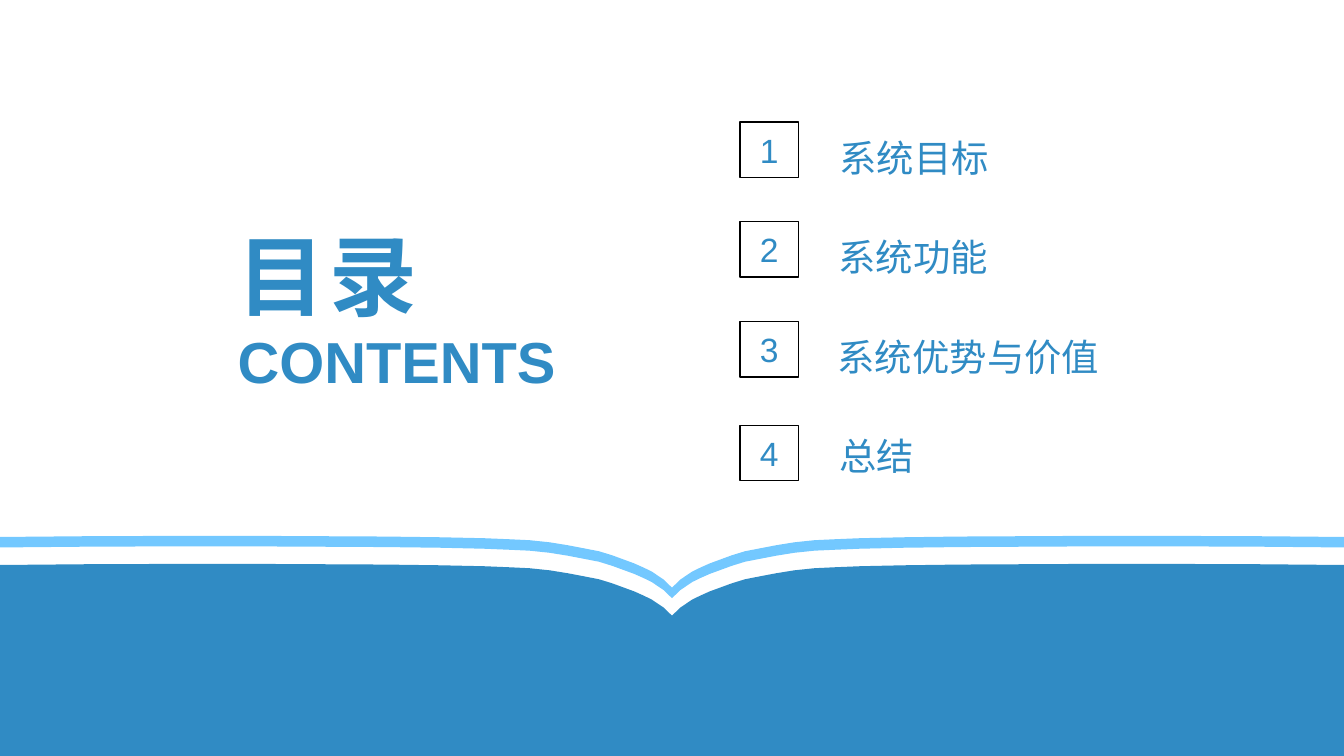
from pptx import Presentation
from pptx.dml.color import RGBColor
from pptx.enum import shapes, text
from pptx.util import Pt

COLORS = {"blue": "308BC4", "sky": "73C8FF", "outline": "000000"}
WIDTH, HEIGHT = 960, 540


def write(shape, wording, size, bold=False, line_spacing=None, align=text.PP_ALIGN.LEFT):
    """Put one blue Arial run in the shape and return that run."""
    frame = shape.text_frame
    frame.word_wrap = True
    para = frame.paragraphs[0]
    para.alignment = align
    para.line_spacing = line_spacing
    span = para.add_run()
    span.text = wording
    span.font.name = "Arial"
    span.font.size = Pt(size)
    span.font.bold = bold
    span.font.color.rgb = RGBColor.from_string(COLORS["blue"])
    return span


def add_outline(page, points, color):
    """Draw a closed, filled outline through points given in points."""
    corners = [(Pt(x), Pt(y)) for x, y in points]
    builder = page.shapes.build_freeform(*corners[0])
    builder.add_line_segments(corners[1:], close=True)
    outline = builder.convert_to_shape()
    outline.shadow.inherit = False
    outline.fill.solid()
    outline.fill.fore_color.rgb = RGBColor.from_string(COLORS[color])
    outline.line.fill.background()


deck = Presentation()
deck.slide_width, deck.slide_height = Pt(WIDTH), Pt(HEIGHT)
page = deck.slides.add_slide(deck.slide_layouts[6])

# Contents entries: label, label left, label width, number box top
entries = [
    ("系统目标", 592.6, 202.3, 87.1),
    ("系统功能", 591.8, 123, 158.4),
    ("系统优势与价值", 591.1, 203.8, 229.7),
    ("总结", 592.6, 107.3, 303.8),
]
for index, (label, left, width, box_top) in enumerate(entries):
    label_box = page.shapes.add_textbox(Pt(left), Pt(86.4 + 71.1 * index), Pt(width), Pt(42.5))
    write(label_box, label, 26.7, line_spacing=1.2)

    number_box = page.shapes.add_shape(
        shapes.MSO_SHAPE.RECTANGLE, Pt(528.5), Pt(box_top), Pt(41.8), Pt(39.6))
    number_box.shadow.inherit = False
    number_box.fill.background()
    number_box.line.color.rgb = RGBColor.from_string(COLORS["outline"])
    number_box.line.width = Pt(1)
    number_box.text_frame.vertical_anchor = text.MSO_ANCHOR.MIDDLE
    write(number_box, str(index + 1), 24, align=text.PP_ALIGN.CENTER)

# Heading
title_box = page.shapes.add_textbox(Pt(162.7), Pt(139.7), Pt(185), Pt(90))
title = write(title_box, "目录", 62.7, bold=True, line_spacing=1.2)
title.font._element.set("spc", "280")
subtitle_box = page.shapes.add_textbox(Pt(162.7), Pt(218.9), Pt(249.8), Pt(61.2))
write(subtitle_box, "CONTENTS", 41.3, bold=True, line_spacing=1.2)

# Open book: the right page edge runs from the spine outwards, the left mirrors it
right_edge = [
    (480, 419.8), (483, 416.9), (486, 414), (490.3, 411.1), (494.6, 408.2),
    (500.4, 405.4), (506.9, 402.5), (514.8, 399.6), (522.7, 396.7), (532.1, 393.8),
    (542.9, 391.7), (554.4, 389.5), (567.4, 387.4), (581.8, 385.9), (596.9, 385.2),
    (614.2, 384.5), (645.8, 383.8), (685.4, 383.3), (761, 382.9), (825.8, 382.8),
    (893, 383), (960, 383.6),
]
left_edge = [(WIDTH - x, y) for x, y in reversed(right_edge[1:])]
page_edge = left_edge + right_edge
cover_edge = [(x, y + 20) for x, y in page_edge]
ribbon_edge = [(x, y + 7.5) for x, y in reversed(page_edge)]
add_outline(page, cover_edge + [(WIDTH, HEIGHT), (0, HEIGHT)], "blue")
add_outline(page, page_edge + ribbon_edge, "sky")

deck.save("out.pptx")
